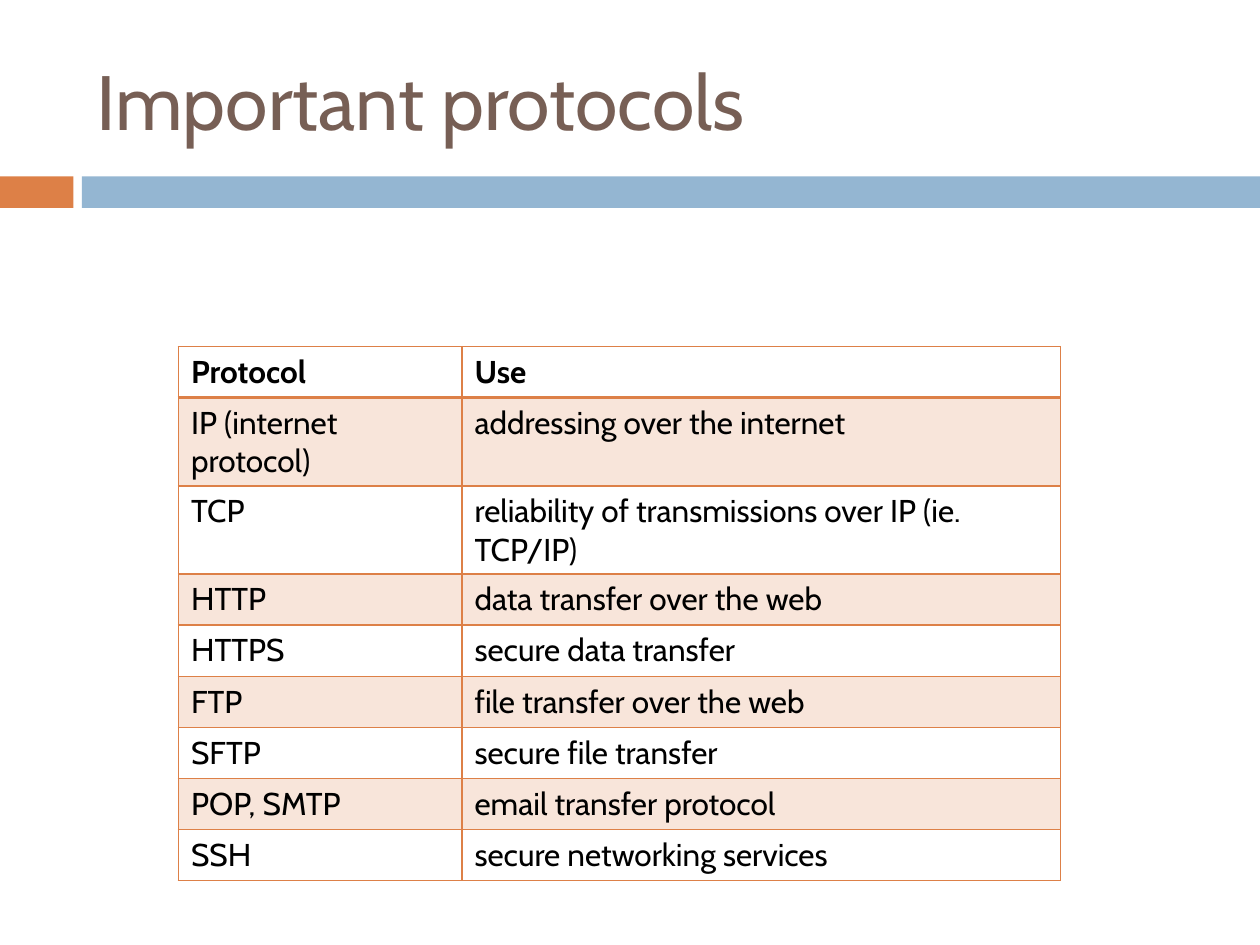
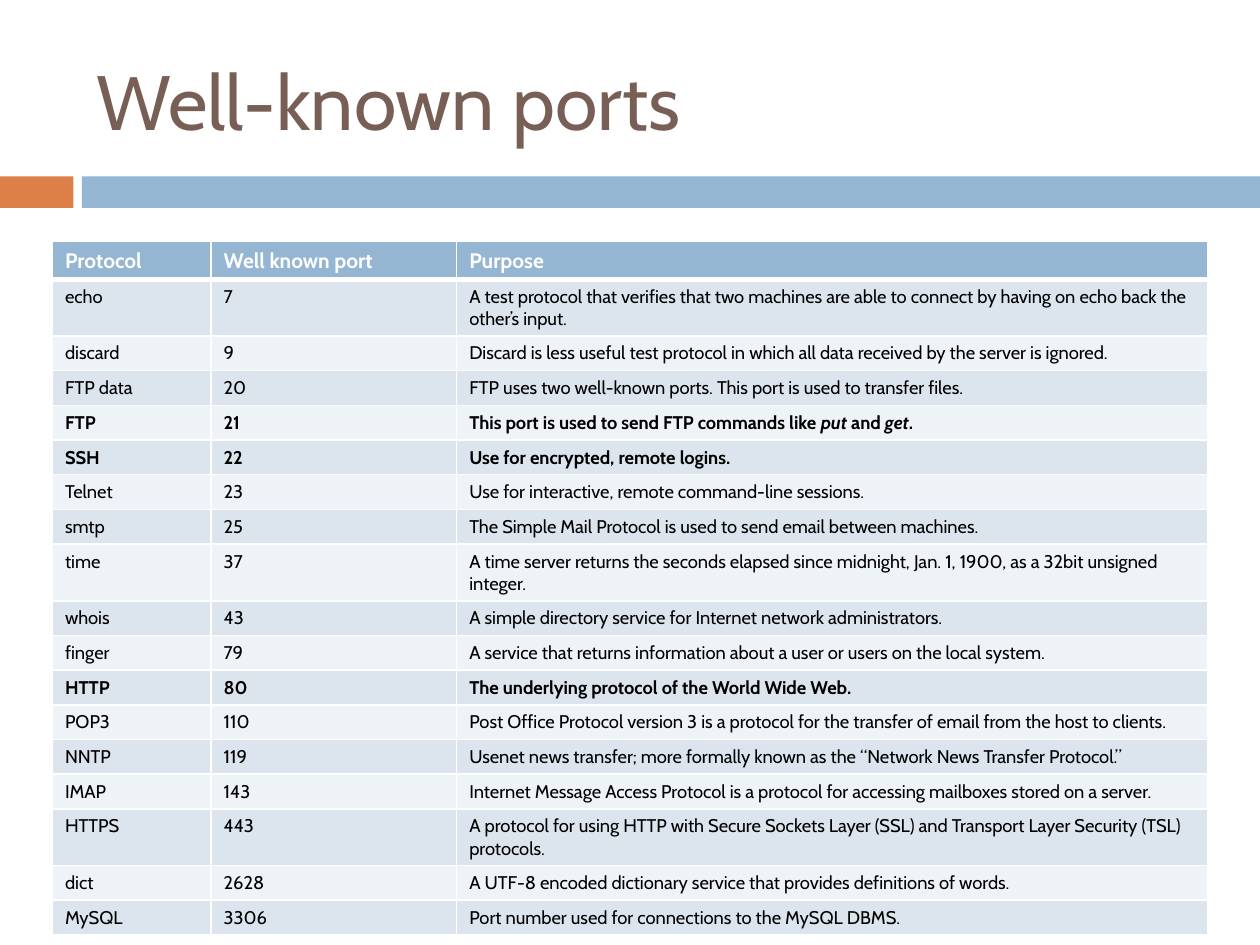
import lxml.etree
import pptx
import pptx.dml.color
import pptx.enum.shapes
import pptx.enum.text
import pptx.oxml.ns
import pptx.util

# Grid of 120 columns by 90 rows; one unit is a twelfth of an inch
UNIT = pptx.util.Inches(1) / 12
COLS, ROWS = 120, 90

FONT = "Cabin"
ORANGE, BLUE, BROWN = "DD8047", "94B6D2", "775F55"
WHITE, BLACK = "FFFFFF", "000000"
BLUE_TINT, BLUE_PALE = "DCE5EE", "EEF3F7"

PROTOCOLS = [
    ("Protocol", "Use"),
    ("IP (internet protocol)", "addressing over the internet"),
    ("TCP", "reliability of transmissions over IP (ie. TCP/IP)"),
    ("HTTP", "data transfer over the web"),
    ("HTTPS", "secure data transfer"),
    ("FTP", "file transfer over the web"),
    ("SFTP", "secure file transfer"),
    ("POP, SMTP", "email transfer protocol"),
    ("SSH", "secure networking services"),
]

# Words between asterisks are italic
PORTS = [
    ("Protocol", "Well known port", "Purpose"),
    ("echo", "7", "A test protocol that verifies that two machines are able to "
     "connect by having on echo back the other’s input."),
    ("discard", "9", "Discard is less useful test protocol in which all data "
     "received by the server is ignored."),
    ("FTP data", "20", "FTP uses two well-known ports. This port is used to transfer files."),
    ("FTP", "21", "This port is used to send FTP commands like *put* and *get*."),
    ("SSH", "22", "Use for encrypted, remote logins."),
    ("Telnet", "23", "Use for interactive, remote command-line sessions."),
    ("smtp", "25", "The Simple Mail Protocol is used to send email between machines."),
    ("time", "37", "A time server returns the seconds elapsed since midnight, "
     "Jan. 1, 1900, as a 32bit unsigned integer."),
    ("whois", "43", "A simple directory service for Internet network administrators."),
    ("finger", "79", "A service that returns information about a user or users "
     "on the local system."),
    ("HTTP", "80", "The underlying protocol of the World Wide Web."),
    ("POP3", "110", "Post Office Protocol version 3 is a protocol for the "
     "transfer of email from the host to clients."),
    ("NNTP", "119", "Usenet news transfer; more formally known as the "
     "“Network News Transfer Protocol.”"),
    ("IMAP", "143", "Internet Message Access Protocol is a protocol for "
     "accessing mailboxes stored on a server."),
    ("HTTPS", "443", "A protocol for using HTTP with Secure Sockets Layer (SSL) "
     "and Transport Layer Security (TSL) protocols."),
    ("dict", "2628", "A UTF-8 encoded dictionary service that provides definitions of words."),
    ("MySQL", "3306", "Port number used for connections to the MySQL DBMS."),
]

# A fill is None or a colour with its opacity in percent
PROTOCOL_STYLE = {
    "line": ORANGE, "head_line": 2,
    "head_fill": None, "bands": [(ORANGE, 20), None],
    "head_font": {"size": 18, "color": BLACK, "bold": True},
    "body_font": {"size": 18, "color": BLACK},
    "bold_rows": (),
}
PORT_STYLE = {
    "line": WHITE, "head_line": 3,
    "head_fill": (BLUE, 100), "bands": [(BLUE_TINT, 100), (BLUE_PALE, 100)],
    "head_font": {"size": 12, "color": WHITE, "bold": True},
    "body_font": {"size": 10.5, "color": BLACK},
    "bold_rows": ("FTP", "SSH", "HTTP"),
}


def rgb(color):
    return pptx.dml.color.RGBColor.from_string(color)


def units(*lengths):
    return [round(length * UNIT) for length in lengths]


def add_text(p, text, size, color, bold=False):
    for i, part in enumerate(text.split("*")):
        if not part:
            continue
        r = p.add_run()
        r.text = part
        values = {"name": FONT, "size": pptx.util.Pt(size),
                  "bold": bold, "italic": i % 2 == 1}
        for name, value in values.items():
            setattr(r.font, name, value)
        r.font.color.rgb = rgb(color)


def add_band(s, left, width, color):
    sp = s.shapes.add_shape(pptx.enum.shapes.MSO_SHAPE.RECTANGLE,
                            *units(left, 16.8, width, 3))
    sp.shadow.inherit = False
    sp.fill.solid()
    sp.fill.fore_color.rgb = rgb(color)
    sp.line.fill.background()


def add_title(s, text):
    tf = s.shapes.add_textbox(*units(8, 3, 107, 13)).text_frame
    tf.word_wrap = True
    tf.vertical_anchor = pptx.enum.text.MSO_ANCHOR.MIDDLE
    add_text(tf.paragraphs[0], text, 44, BROWN)


def add_slide(prs, title):
    s = prs.slides.add_slide(prs.slide_layouts[6])
    add_band(s, 0, 7, ORANGE)
    add_band(s, 7.8, COLS - 7.8, BLUE)
    add_title(s, title)
    return s


def set_borders(cell, color, top, bottom):
    qn = pptx.oxml.ns.qn
    tc_pr = cell._tc.get_or_add_tcPr()
    for side, width in {"L": 1, "R": 1, "T": top, "B": bottom}.items():
        ln = lxml.etree.SubElement(tc_pr, qn(f"a:ln{side}"), w=str(pptx.util.Pt(width)))
        fill = lxml.etree.SubElement(ln, qn("a:solidFill"))
        lxml.etree.SubElement(fill, qn("a:srgbClr"), val=color)


def set_fill(cell, fill):
    if fill is None:
        cell.fill.background()
        return
    color, opacity = fill
    cell.fill.solid()
    cell.fill.fore_color.rgb = rgb(color)
    if opacity < 100:
        qn = pptx.oxml.ns.qn
        clr = cell._tc.tcPr.find(qn("a:solidFill")).find(qn("a:srgbClr"))
        lxml.etree.SubElement(clr, qn("a:alpha"), val=str(opacity * 1000))


def add_grid_table(s, rows, left, top, col_widths, row_height, style):
    box = units(left, top, sum(col_widths), row_height * len(rows))
    table = s.shapes.add_table(len(rows), len(col_widths), *box).table
    table.horz_banding = False
    for column, width in zip(table.columns, units(*col_widths)):
        column.width = width
    for i, row in enumerate(rows):
        if i == 0:
            font, fill = style["head_font"], style["head_fill"]
        else:
            font = {**style["body_font"], "bold": row[0] in style["bold_rows"]}
            fill = style["bands"][(i - 1) % 2]
        # The heavier rule lies between the header and the first body row
        top_line = style["head_line"] if i == 1 else 1
        bottom_line = style["head_line"] if i == 0 else 1
        for j, text in enumerate(row):
            cell = table.cell(i, j)
            set_borders(cell, style["line"], top_line, bottom_line)
            set_fill(cell, fill)
            add_text(cell.text_frame.paragraphs[0], text, **font)


def main():
    prs = pptx.Presentation()
    prs.slide_width, prs.slide_height = units(COLS, ROWS)

    # Protocols and their use
    s = add_slide(prs, "Important protocols")
    add_grid_table(s, PROTOCOLS, 17, 33, [27, 57], 4.87, PROTOCOL_STYLE)

    # Port numbers
    s = add_slide(prs, "Well-known ports")
    add_grid_table(s, PORTS, 5, 23, [15.1, 23.4, 71.5], 3.24, PORT_STYLE)

    prs.save("out.pptx")


if __name__ == "__main__":
    main()
